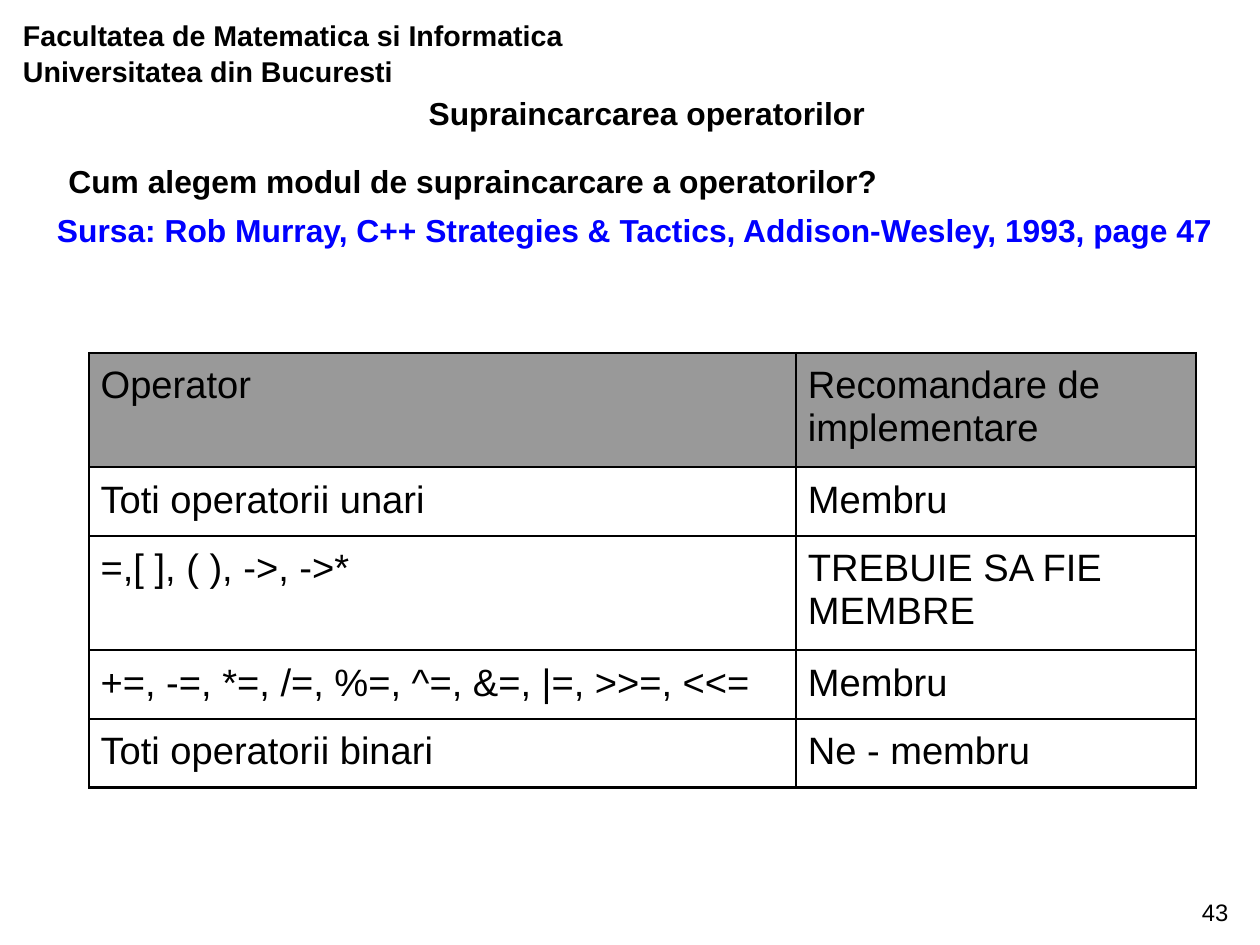
from pptx import Presentation
from pptx.dml.color import RGBColor
from pptx.enum.text import MSO_ANCHOR, MSO_AUTO_SIZE, PP_ALIGN
from pptx.oxml import parse_xml
from pptx.oxml.ns import nsdecls
from pptx.util import Pt

TOP, BOTTOM = MSO_ANCHOR.TOP, MSO_ANCHOR.BOTTOM
LEFT, RIGHT = PP_ALIGN.LEFT, PP_ALIGN.RIGHT
NO_AUTOFIT = MSO_AUTO_SIZE.NONE
TITLE_ONLY = 5
FONT = "Arial"
BLACK, WHITE, BLUE, GREY = "000000", "FFFFFF", "0000FF", "999999"

COLUMN_WIDTHS = (445.5, 252)
ROW_HEIGHTS = (72, 42.8, 72, 42.8, 42.8)
ROWS = (
    ("Operator", "Recomandare de implementare"),
    ("Toti operatorii unari", "Membru"),
    ("=,[ ], ( ), ->, ->*", "TREBUIE SA FIE MEMBRE"),
    ("+=, -=, *=, /=, %=, ^=, &=, |=, >>=, <<=", "Membru"),
    ("Toti operatorii binari", "Ne - membru"),
)


def rgb(value):
    """Return the colour for a hex string."""
    return RGBColor.from_string(value)


def set_text(tf, text, size, color=BLACK, bold=False, align=LEFT, spacing=None):
    """Fill a text frame with one formatted paragraph."""
    tf.text = text
    tf.word_wrap = True
    p = tf.paragraphs[0]
    p.alignment = align
    p.line_spacing = spacing
    font = p.runs[0].font
    font.name, font.size, font.bold = FONT, Pt(size), bold
    font.color.rgb = rgb(color)


def set_insets(obj, x, y):
    """Set equal side insets and equal top and bottom insets."""
    obj.margin_left = obj.margin_right = Pt(x)
    obj.margin_top = obj.margin_bottom = Pt(y)


def add_text(s, box, text, size, anchor=TOP, insets=(7.2, 3.6), **style):
    """Add a text box and return it."""
    sp = s.shapes.add_textbox(*map(Pt, box))
    tf = sp.text_frame
    set_text(tf, text, size, **style)
    set_insets(tf, *insets)
    tf.vertical_anchor = anchor
    return sp


def set_title(s, box, text):
    """Place and format the title placeholder."""
    sp = s.shapes.title
    sp.left, sp.top, sp.width, sp.height = map(Pt, box)
    tf = sp.text_frame
    set_text(tf, text, 20, bold=True, spacing=1.5)
    set_insets(tf, 7.2, 3.6)
    tf.auto_size = NO_AUTOFIT
    tf.vertical_anchor = TOP


def set_borders(cell, color, width):
    """Draw a solid line on all four sides of a cell."""
    tc_pr = cell._tc.get_or_add_tcPr()
    for i, side in enumerate(("lnL", "lnR", "lnT", "lnB")):
        tc_pr.insert(i, parse_xml(
            f'<a:{side} {nsdecls("a")} w="{Pt(width)}"><a:solidFill>'
            f'<a:srgbClr val="{color}"/></a:solidFill></a:{side}>'))


def add_operator_table(s, left, top):
    """Add the table of operators and recommendations."""
    size = Pt(sum(COLUMN_WIDTHS)), Pt(sum(ROW_HEIGHTS))
    table = s.shapes.add_table(len(ROWS), len(COLUMN_WIDTHS),
                               Pt(left), Pt(top), *size).table
    table.horz_banding = False
    for column, width in zip(table.columns, COLUMN_WIDTHS):
        column.width = Pt(width)
    for i, (row, height) in enumerate(zip(table.rows, ROW_HEIGHTS)):
        row.height = Pt(height)
        for cell, text in zip(row.cells, ROWS[i]):
            set_text(cell.text_frame, text, 24)
            set_insets(cell, 7.2, 7.2)
            cell.fill.solid()
            cell.fill.fore_color.rgb = rgb(WHITE if i else GREY)
            set_borders(cell, BLACK, 1.5)


def main():
    """Build and save the slide."""
    prs = Presentation()
    prs.slide_width, prs.slide_height = Pt(793.75), Pt(595.25)
    s = prs.slides.add_slide(prs.slide_layouts[TITLE_ONLY])
    set_title(s, (262.8, 43.2, 327.6, 36), "Supraincarcarea operatorilor")
    add_text(s, (738.7, 555.8, 43.2, 31.7), "43", 15, BOTTOM, (8, 4), align=RIGHT)
    add_text(s, (6.5, 6.5, 396.7, 51.8),
             "Facultatea de Matematica si Informatica Universitatea din Bucuresti",
             18, insets=(8, 4), bold=True, spacing=1.04)
    source = add_text(
        s, (28.8, 128.9, 748.8, 51.8),
        "Sursa: Rob Murray, C++ Strategies & Tactics, Addison-Wesley, 1993, page 47",
        20, color=BLUE, bold=True)
    source.fill.solid()
    source.fill.fore_color.rgb = rgb(WHITE)
    add_text(s, (36, 86.4, 685.4, 36),
             "Cum alegem modul de supraincarcare a operatorilor?",
             20, bold=True, spacing=1.5)
    add_operator_table(s, 56.2, 222.3)
    prs.save("out.pptx")


if __name__ == "__main__":
    main()
